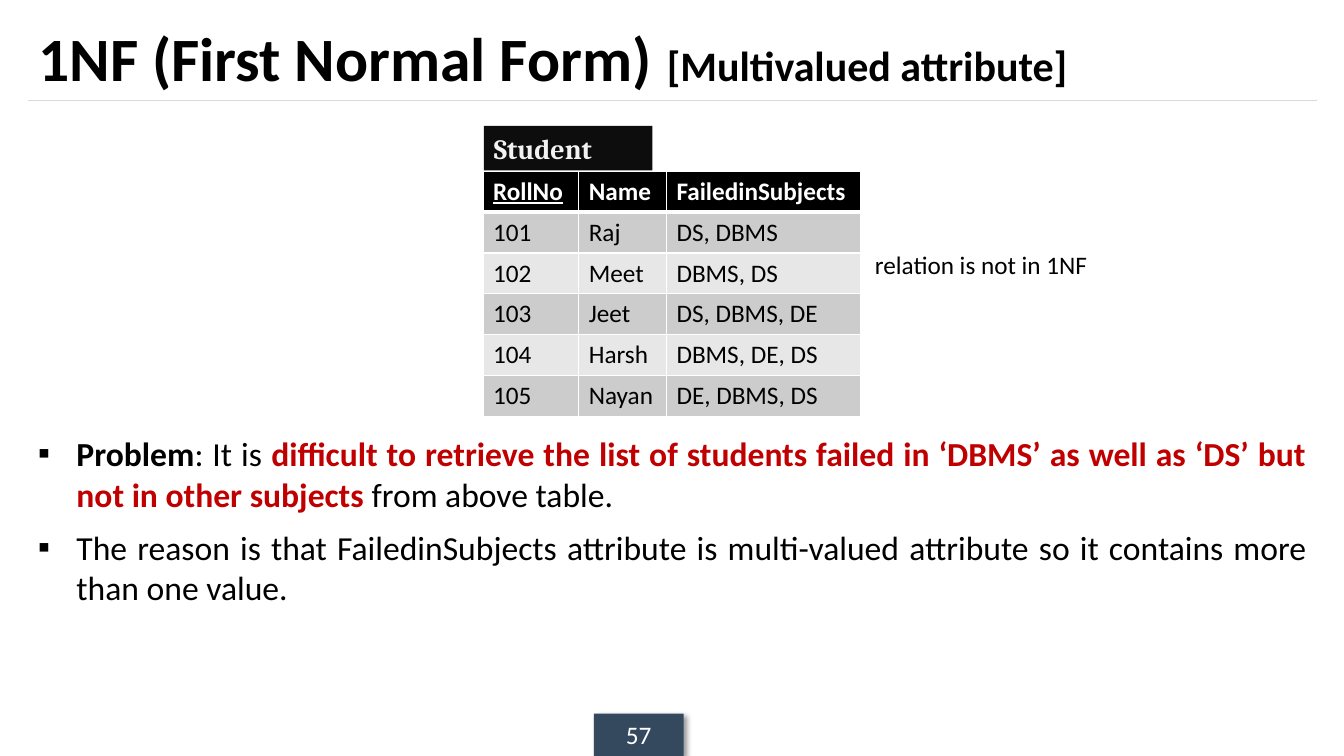
from dataclasses import dataclass

from lxml import etree
from pptx import Presentation
from pptx import util as u
from pptx.dml.color import RGBColor
from pptx.enum import shapes, text
from pptx.oxml import ns


@dataclass(frozen=True)
class Theme:
    font: str = "Calibri"
    label_font: str = "Cambria"
    black: str = "000000"
    white: str = "FFFFFF"
    accent: str = "C00000"
    rule: str = "D9D9D9"
    footer: str = "34495E"
    label_fill: str = "0D0D0D"
    label_text: str = "F2F2F2"
    bands: tuple = ("CCCCCC", "E7E7E7")
    title_size: int = 44
    subtitle_size: int = 30
    body_size: int = 24
    label_size: int = 20
    small_size: int = 18


THEME = Theme()
LEFT, WIDTH = 0.28, 12.78
ROW_HEIGHT = 0.405
COLUMN_WIDTHS = (0.95, 0.87, 1.93)
STUDENTS = (
    ("RollNo", "Name", "FailedinSubjects"),
    ("101", "Raj", "DS, DBMS"),
    ("102", "Meet", "DBMS, DS"),
    ("103", "Jeet", "DS, DBMS, DE"),
    ("104", "Harsh", "DBMS, DE, DS"),
    ("105", "Nayan", "DE, DBMS, DS"),
)
POINTS = (
    (
        ("Problem", THEME.black, True),
        (": It is ", THEME.black, False),
        ("difficult to retrieve the list of students failed in ‘DBMS’ as well as "
         "‘DS’ but not in other subjects ", THEME.accent, True),
        ("from above table.", THEME.black, False),
    ),
    (
        ("The reason is that FailedinSubjects attribute is multi-valued attribute "
         "so it contains more than one value.", THEME.black, False),
    ),
)


def inches(*lengths):
    return [u.Inches(length) for length in lengths]


def add_span(para, words, size, color=THEME.black, bold=False, font=THEME.font):
    span = para.add_run()
    span.text = words
    span.font.name = font
    span.font.size = u.Pt(size)
    span.font.bold = bold
    span.font.color.rgb = RGBColor.from_string(color)
    return span


def add_element(parent, tag, **attributes):
    return etree.SubElement(parent, ns.qn(tag), attributes)


def add_title(page):
    box = page.shapes.title
    box.left, box.top, box.width, box.height = inches(LEFT, 0.12, WIDTH, 0.88)
    frame = box.text_frame
    frame.auto_size = text.MSO_AUTO_SIZE.NONE
    frame.vertical_anchor = text.MSO_ANCHOR.MIDDLE
    para = frame.paragraphs[0]
    para.alignment = text.PP_ALIGN.LEFT
    add_span(para, "1NF (First Normal Form) ", THEME.title_size, bold=True)
    add_span(para, "[Multivalued attribute]", THEME.subtitle_size, bold=True)


def add_rule(page):
    line = page.shapes.add_connector(
        shapes.MSO_CONNECTOR.STRAIGHT, *inches(LEFT, 1, LEFT + WIDTH, 1))
    line.line.color.rgb = RGBColor.from_string(THEME.rule)
    line.line.width = u.Pt(0.75)
    add_element(line._element.spPr, "a:effectLst")


def add_block(page, place, fill):
    box = page.shapes.add_shape(shapes.MSO_SHAPE.RECTANGLE, *inches(*place))
    box.shadow.inherit = False
    box.fill.solid()
    box.fill.fore_color.rgb = RGBColor.from_string(fill)
    box.line.fill.background()
    box.text_frame.vertical_anchor = text.MSO_ANCHOR.MIDDLE
    return box


def add_shadow(box):
    effects = box._element.spPr.find(ns.qn("a:effectLst"))
    shadow = add_element(effects, "a:outerShdw", blurRad=str(u.Pt(4)),
                         dist=str(u.Pt(3)), dir="2700000", algn="tl", rotWithShape="0")
    color = add_element(shadow, "a:srgbClr", val=THEME.black)
    add_element(color, "a:alpha", val="40000")


def add_page_number(page):
    box = add_block(page, (5.89, 7.08, 0.89, 0.42), THEME.footer)
    add_shadow(box)
    para = box.text_frame.paragraphs[0]
    para.alignment = text.PP_ALIGN.CENTER
    add_span(para, "57", THEME.small_size, THEME.white)


def add_table_label(page):
    box = add_block(page, (4.8, 1.25, 1.67, 0.44), THEME.label_fill)
    para = box.text_frame.paragraphs[0]
    para.alignment = text.PP_ALIGN.LEFT
    add_span(para, "Student", THEME.label_size, THEME.label_text, True, THEME.label_font)


def add_borders(cell, top, bottom):
    properties = cell._tc.get_or_add_tcPr()
    for side, width in (("L", 1), ("R", 1), ("T", top), ("B", bottom)):
        line = add_element(properties, f"a:ln{side}", w=str(u.Pt(width)))
        fill = add_element(line, "a:solidFill")
        add_element(fill, "a:srgbClr", val=THEME.white)


def add_student_table(page):
    height = ROW_HEIGHT * len(STUDENTS)
    table = page.shapes.add_table(
        len(STUDENTS), len(COLUMN_WIDTHS),
        *inches(4.79, 1.7, sum(COLUMN_WIDTHS), height)).table
    for column, width in zip(table.columns, COLUMN_WIDTHS):
        column.width = u.Inches(width)
    for row, values in enumerate(STUDENTS):
        table.rows[row].height = u.Inches(ROW_HEIGHT)
        header = row == 0
        fill = THEME.black if header else THEME.bands[(row - 1) % 2]
        color = THEME.white if header else THEME.black
        for column, value in enumerate(values):
            cell = table.cell(row, column)
            add_borders(cell, 3 if row == 1 else 1, 3 if header else 1)
            cell.fill.solid()
            cell.fill.fore_color.rgb = RGBColor.from_string(fill)
            span = add_span(cell.text_frame.paragraphs[0], value,
                            THEME.small_size, color, header)
            span.font.underline = header and column == 0


def add_text_box(page, *place):
    frame = page.shapes.add_textbox(*inches(*place)).text_frame
    frame.word_wrap = True
    return frame


def add_note(page):
    frame = add_text_box(page, 8.58, 2.42, 2.9, 0.4)
    add_span(frame.paragraphs[0], "relation is not in 1NF", THEME.small_size)


def add_bullet(para):
    properties = para._p.get_or_add_pPr()
    indent = u.Inches(0.38)
    properties.set("marL", str(indent))
    properties.set("indent", str(-indent))
    add_element(properties, "a:buFont", typeface=THEME.font)
    add_element(properties, "a:buChar", char="▪")


def add_points(page):
    frame = add_text_box(page, LEFT, 4.25, WIDTH, 2.66)
    for index, spans in enumerate(POINTS):
        para = frame.add_paragraph() if index else frame.paragraphs[0]
        add_bullet(para)
        para.alignment = text.PP_ALIGN.JUSTIFY
        para.space_before = u.Pt(9 if index else 0)
        for words, color, bold in spans:
            add_span(para, words, THEME.body_size, color, bold)


def main():
    deck = Presentation()
    deck.slide_width, deck.slide_height = inches(13.33, 7.5)
    page = deck.slides.add_slide(deck.slide_layouts.get_by_name("Title Only"))
    add_rule(page)
    add_page_number(page)
    add_title(page)
    add_points(page)
    add_student_table(page)
    add_table_label(page)
    add_note(page)
    deck.save("out.pptx")


if __name__ == "__main__":
    main()
